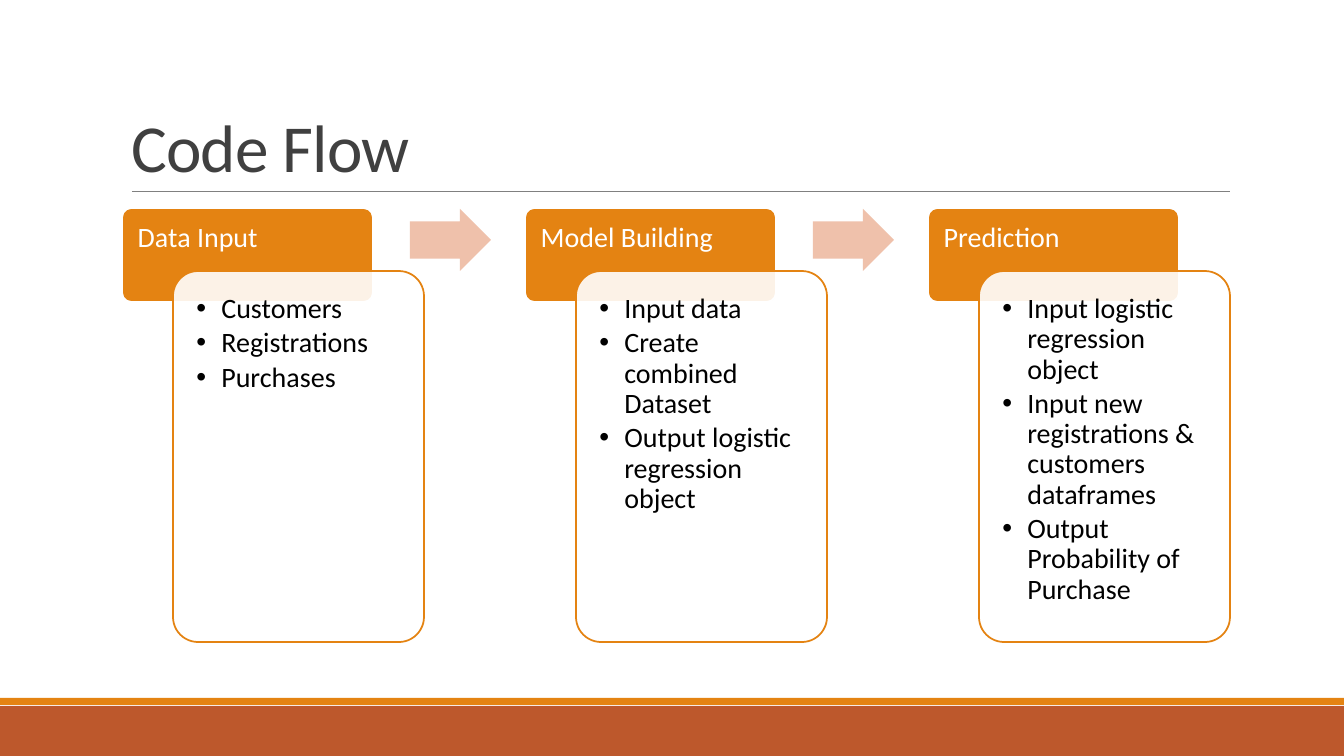
from lxml.etree import SubElement
from pptx import Presentation
from pptx.dml.color import RGBColor
from pptx.enum.shapes import MSO_CONNECTOR, MSO_SHAPE
from pptx.enum.text import MSO_ANCHOR, MSO_AUTO_SIZE, PP_ALIGN
from pptx.oxml.ns import qn
from pptx.util import Emu, Pt

WIDTH, HEIGHT = 1344, 756
ORANGE = RGBColor(0xE4, 0x83, 0x12)
RUST = RGBColor(0xBD, 0x58, 0x2C)
PEACH = RGBColor(0xEF, 0xC1, 0xAB)
GRAY = RGBColor(0x80, 0x80, 0x80)
CHARCOAL = RGBColor(0x40, 0x40, 0x40)
WHITE = RGBColor(0xFF, 0xFF, 0xFF)
BLACK = RGBColor(0, 0, 0)

STAGES = [
    ("Data Input", ["Customers", "Registrations", "Purchases"]),
    ("Model Building", ["Input data", "Create combined Dataset",
                        "Output logistic regression object"]),
    ("Prediction", ["Input logistic regression object",
                    "Input new registrations & customers dataframes",
                    "Output Probability of Purchase"]),
]
STAGE_LEFT, STAGE_TOP, STAGE_STEP = 122, 208, 403


def px(length):
    return Emu(round(length * 9525 * 96 / 100.8))


class SlideBuilder:
    font = "Calibri"
    text_size = 20

    def __init__(self, page):
        self.page = page

    def shape(self, kind, left, top, width, height, fill, line=None):
        shape = self.page.shapes.add_shape(
            kind, px(left), px(top), px(width), px(height))
        shape.shadow.inherit = False
        shape.fill.solid()
        shape.fill.fore_color.rgb = fill
        if line is None:
            shape.line.fill.background()
        else:
            shape.line.color.rgb = line
            shape.line.width = Pt(1.25)
        return shape

    def rule(self, left, right, y):
        line = self.page.shapes.add_connector(
            MSO_CONNECTOR.STRAIGHT, px(left), px(y), px(right), px(y))
        line.line.color.rgb = GRAY
        line.line.width = Pt(0.5)
        SubElement(line._element.spPr, qn("a:effectLst"))

    def add_text(self, para, text, color, size=text_size, spacing=0.9):
        para.alignment = PP_ALIGN.LEFT
        para.line_spacing = spacing
        span = para.add_run()
        span.text = text
        span.font.name = self.font
        span.font.size = Pt(size)
        span.font.color.rgb = color
        return span

    def title(self, text, left, top, width, height):
        box = self.page.shapes.title
        box.left, box.top = px(left), px(top)
        box.width, box.height = px(width), px(height)
        frame = box.text_frame
        frame.auto_size = MSO_AUTO_SIZE.NONE
        frame.vertical_anchor = MSO_ANCHOR.BOTTOM
        span = self.add_text(frame.paragraphs[0], text, CHARCOAL, 48, 0.85)
        span.font._element.set("spc", "-50")

    def rounded_box(self, left, top, width, height, fill, line, inset):
        box = self.shape(MSO_SHAPE.ROUNDED_RECTANGLE,
                         left, top, width, height, fill, line)
        box.adjustments[0] = 0.1
        frame = box.text_frame
        frame.word_wrap = True
        frame.vertical_anchor = MSO_ANCHOR.TOP
        frame.margin_left = frame.margin_right = px(inset)
        frame.margin_top = frame.margin_bottom = px(inset)
        return box

    def header(self, text, left, top):
        box = self.rounded_box(left, top, 251, 94, ORANGE, WHITE, 13)
        self.add_text(box.text_frame.paragraphs[0], text, WHITE)

    def card(self, items, left, top):
        box = self.rounded_box(left, top, 251, 371, WHITE, ORANGE, 16)
        color = box._element.spPr.find(qn("a:solidFill"))[0]
        SubElement(color, qn("a:alpha"), val="90000")
        frame = box.text_frame
        for index, item in enumerate(items):
            para = frame.add_paragraph() if index else frame.paragraphs[0]
            self.add_text(para, item, BLACK)
            para.space_after = Pt(3)
            properties = para._p.get_or_add_pPr()
            properties.set("marL", str(px(25)))
            properties.set("indent", str(-px(25)))
            SubElement(properties, qn("a:buFont"), typeface="Arial")
            SubElement(properties, qn("a:buChar"), char="•")

    def arrow(self, left, top):
        arrow = self.shape(MSO_SHAPE.RIGHT_ARROW, left, top, 81, 62, PEACH)
        arrow.adjustments[0] = 0.6
        arrow.adjustments[1] = 0.5


def main():
    deck = Presentation()
    deck.slide_width, deck.slide_height = px(WIDTH), px(HEIGHT)
    title_only = deck.slide_layouts[5]
    builder = SlideBuilder(deck.slides.add_slide(title_only))

    builder.shape(MSO_SHAPE.RECTANGLE, 0, 706, WIDTH, 50, RUST)
    builder.shape(MSO_SHAPE.RECTANGLE, 0, 698, WIDTH, 7, ORANGE)
    builder.rule(132, 1230, 191)
    builder.title("Code Flow", 121, 31, 1109, 160)

    for index, (name, items) in enumerate(STAGES):
        left = STAGE_LEFT + index * STAGE_STEP
        builder.header(name, left, STAGE_TOP)
        builder.card(items, left + 51, STAGE_TOP + 63)
        if index < len(STAGES) - 1:
            builder.arrow(left + 288, STAGE_TOP + 1)

    deck.save("out.pptx")


if __name__ == "__main__":
    main()
